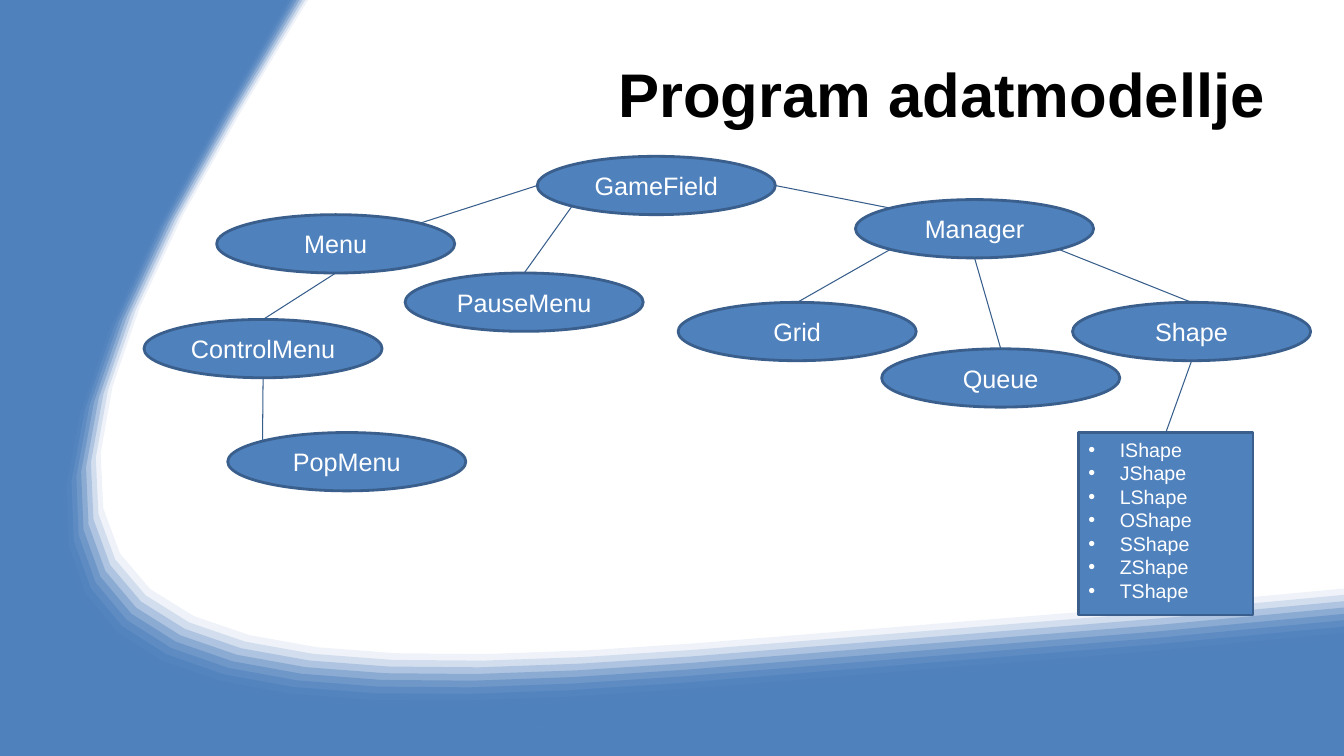
"""Build the slide with the tree of the program's data model."""
from dataclasses import dataclass

from lxml.etree import SubElement
from pptx import Presentation
from pptx.dml.color import RGBColor as Rgb
from pptx.enum.shapes import MSO_CONNECTOR as Link, MSO_SHAPE as Kind
from pptx.enum.text import MSO_ANCHOR as Anchor, PP_ALIGN as Align
from pptx.oxml.ns import qn
from pptx.util import Cm, Pt


@dataclass(frozen=True)
class Theme:
    font: str = "Arial"
    blue: Rgb = Rgb(0x4F, 0x81, 0xBD)
    edge: Rgb = Rgb(0x3A, 0x5F, 0x8C)
    wire: Rgb = Rgb(0x37, 0x5D, 0x8B)
    black: Rgb = Rgb(0, 0, 0)
    white: Rgb = Rgb(255, 255, 255)
    title: Pt = Pt(44)
    node: Pt = Pt(18)
    item: Pt = Pt(14)


def trace(curve, counts=(2, 14, 3)):
    """Return points along a chain of cubic curves."""
    points = [curve[0]]
    for k, steps in enumerate(counts):
        for n in range(1, steps + 1):
            t = n / steps
            parts = ((1 - t) ** 3, 3 * t * (1 - t) ** 2, 3 * t * t * (1 - t), t ** 3)
            points.append(tuple(sum(p * c[axis] for p, c in zip(parts, curve[3 * k:3 * k + 4]))
                                for axis in (0, 1)))
    return points


def write(shape, lines, form, color, align, anchor, wrap=True):
    """Put lines of text into a shape."""
    frame = shape.text_frame
    frame.text = "\n".join(lines)
    frame.word_wrap, frame.vertical_anchor = wrap, anchor
    for para in frame.paragraphs:
        para.alignment = align
        font = para.runs[0].font
        font.color.rgb = color
        for key, value in form.items():
            setattr(font, key, value)


theme = Theme()
wide, high = 33.87, 19.05
deck = Presentation()
deck.slide_width, deck.slide_height = Cm(wide), Cm(high)
slide = deck.slides.add_slide(deck.slide_layouts[6])
shapes = slide.shapes

outer = [(wide, 16.66), (wide, 16.66), (27.3, 17.32), (16.64, 18.14), (2.69, 19.18),
         (-4.11, 18.08), (4.98, 2.92), (6.1, 1.04), (6.73, 0), (6.73, 0)]
pale = [(wide, 14.83), (33.81, 14.83), (27.56, 15.47), (17.53, 16.21), (4.09, 17.22),
        (-1.85, 16.05), (6.1, 2.77), (7.14, 1.02), (7.75, 0.03), (7.77, 0)]
deep = [(wide, 16.43), (33, 16.54), (26.62, 17.15), (16.87, 17.88), (3.1, 18.92),
        (-3.61, 17.86), (5.36, 2.9), (6.3, 1.32), (6.88, 0.28), (7.04, 0)]

rim = trace(outer)
bands = 11
areas = [(rim + [(0, 0), (0, high), (wide, high)], 1)]
for n in range(bands):
    t = n / (bands - 1)
    inner = [(a + (c - a) * t, b + (d - b) * t) for (a, b), (c, d) in zip(pale, deep)]
    areas.append((trace(inner) + rim[::-1], (n + 1) / bands))

for points, alpha in areas:
    path = [(Cm(x), Cm(y)) for x, y in points]
    pen = shapes.build_freeform(*path[0], scale=1)
    pen.add_line_segments(path[1:], close=True)
    band = pen.convert_to_shape()
    band.shadow.inherit = False
    band.line.fill.background()
    band.fill.solid()
    band.fill.fore_color.rgb = theme.blue
    if alpha < 1:
        tint = band._element.spPr.find(".//" + qn("a:srgbClr"))
        SubElement(tint, qn("a:alpha"), val=str(round(alpha * 100) * 1000))

title = shapes.add_textbox(Cm(4.39), Cm(0.76), Cm(27.76), Cm(3.18))
write(title, ["Program adatmodellje"], {"name": theme.font, "size": theme.title, "bold": True},
      theme.black, Align.RIGHT, Anchor.MIDDLE)

places = {
    "GameField": (13.54, 3.94), "Menu": (5.46, 5.41), "ControlMenu": (3.63, 8.05),
    "PopMenu": (5.74, 10.9), "PauseMenu": (10.21, 6.88), "Manager": (21.56, 5.03),
    "Shape": (27.03, 7.62), "Queue": (22.22, 8.79), "Grid": (17.09, 7.62),
}
nodes = {}
for name, (x, y) in places.items():
    nodes[name] = shapes.add_shape(Kind.OVAL, Cm(x), Cm(y), Cm(6), Cm(1.47))
    write(nodes[name], [name], {"name": theme.font, "size": theme.node},
          theme.white, Align.CENTER, Anchor.MIDDLE, False)

kinds = shapes.add_shape(Kind.RECTANGLE, Cm(27.18), Cm(10.9), Cm(4.4), Cm(4.6))
write(kinds, [letter + "Shape" for letter in "IJLOSZT"],
      {"name": theme.font, "size": theme.item}, theme.white, Align.LEFT, Anchor.TOP)
for para in kinds.text_frame.paragraphs:
    props = para._p.get_or_add_pPr()
    props.set("marL", str(Cm(0.79)))
    props.set("indent", str(-Cm(0.79)))
    SubElement(props, qn("a:buFont"), typeface=theme.font)
    SubElement(props, qn("a:buChar"), char="•")
nodes["kinds"] = kinds

for node in nodes.values():
    node.shadow.inherit = False
    node.fill.solid()
    node.fill.fore_color.rgb = theme.blue
    node.line.color.rgb = theme.edge
    node.line.width = Pt(2)

near, far = 0.146, 0.854
spots = {"top": (0.5, 0), "left": (0, 0.5), "base": (0.5, 1), "right": (1, 0.5),
         "top left": (near, near), "top right": (far, near),
         "base left": (near, far), "base right": (far, far)}
links = [
    ("GameField", "left", "Menu", "top right"),
    ("Menu", "base", "ControlMenu", "top"),
    ("ControlMenu", "base", "PopMenu", "top left"),
    ("GameField", "base left", "PauseMenu", "top"),
    ("GameField", "right", "Manager", "top left"),
    ("Manager", "base left", "Grid", "top"),
    ("Manager", "base", "Queue", "top"),
    ("Manager", "base right", "Shape", "top"),
    ("Shape", "base", "kinds", "top"),
]
for start, leave, end, enter in links:
    ends = []
    for name, spot in ((start, leave), (end, enter)):
        node, (u, v) = nodes[name], spots[spot]
        ends += [round(node.left + u * node.width), round(node.top + v * node.height)]
    wire = shapes.add_connector(Link.STRAIGHT, *ends)
    if enter == "top":
        wire.end_connect(nodes[end], 0)
    wire.line.color.rgb = theme.wire
    wire.line.width = Pt(0.75)
    SubElement(wire._element.spPr, qn("a:effectLst"))

deck.save("out.pptx")
